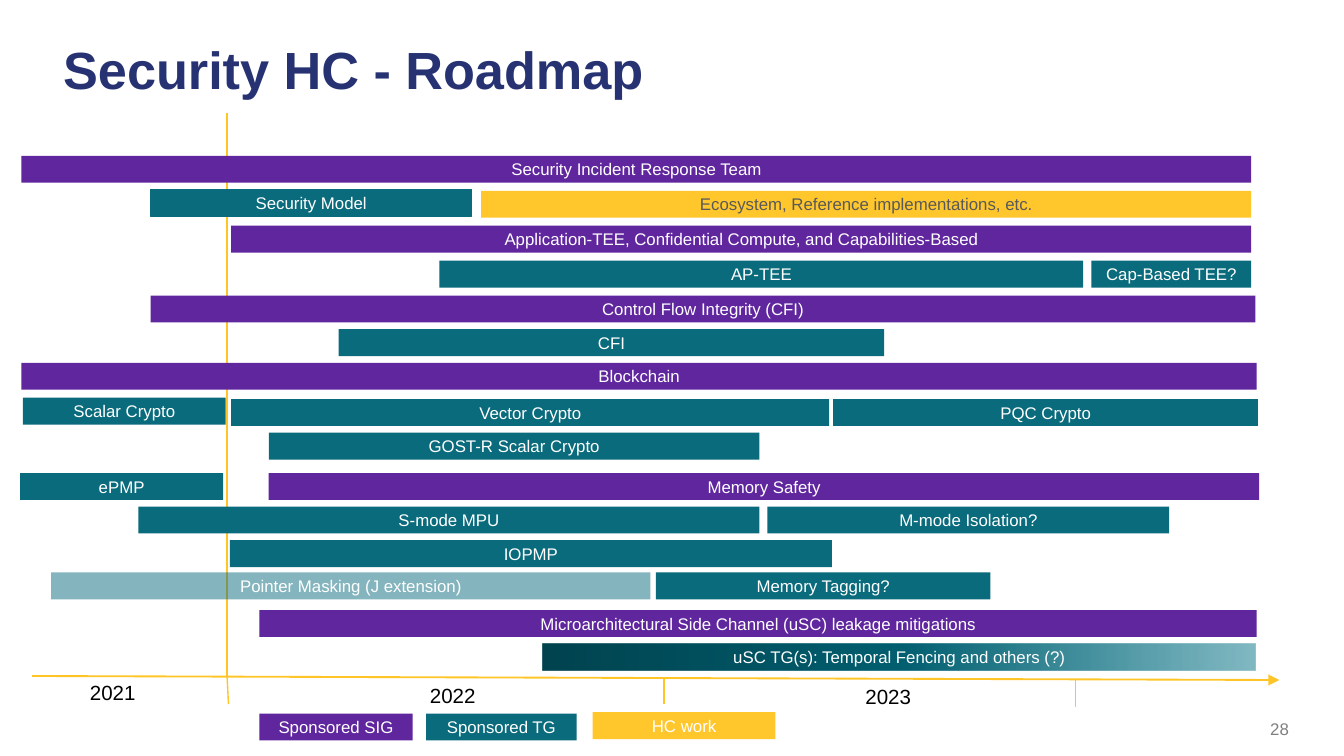
"""Build the Security HC roadmap slide as a timeline of coloured bars."""
from lxml.etree import SubElement
from pptx import Presentation
from pptx.dml.color import RGBColor
from pptx.enum.shapes import MSO_CONNECTOR, MSO_SHAPE
from pptx.enum.text import MSO_ANCHOR, PP_ALIGN
from pptx.oxml.ns import qn
from pptx.util import Inches, Pt

PURPLE, TEAL, YELLOW = "60269E", "0A6B7C", "FFC72C"
WHITE, GREY, AXIS = "FFFFFF", "595959", "FFC526"
BAR_HEIGHT = 0.2


def rgb(value):
    return RGBColor.from_string(value)


def write(shape, text, size, color, align, anchor, bold=False):
    frame = shape.text_frame
    frame.text = text
    frame.vertical_anchor = anchor
    paragraph = frame.paragraphs[0]
    paragraph.alignment = align
    font = paragraph.runs[0].font
    font.color.rgb = rgb(color)
    for name, value in {"name": "Arial", "size": Pt(size), "bold": bold}.items():
        setattr(font, name, value)
    return frame


presentation = Presentation()
presentation.slide_width = Inches(10)
presentation.slide_height = Inches(10 * 9 / 16)
slide = presentation.slides.add_slide(presentation.slide_layouts[5])
shapes = slide.shapes

title = shapes.title
title.left, title.top, title.width, title.height = map(Inches, (0.4, 0.16, 8.77, 0.75))
title_frame = write(title, "Security HC - Roadmap", 28, "273272",
                    PP_ALIGN.LEFT, MSO_ANCHOR.MIDDLE, bold=True)
title_frame.paragraphs[0].line_spacing = 0.95

timeline = [
    (0.24, 5.03, 9.52, 5.06, 1, True),
    (1.69, 5.04, 1.69, 0.84, 1, False),
    (4.94, 5.04, 4.94, 5.24, 0.75, False),
    (1.69, 5.04, 1.7, 5.24, 0.75, False),
    (8, 5.06, 8, 5.26, 0.75, False),
]
for *ends, weight, has_arrow in timeline:
    connector = shapes.add_connector(MSO_CONNECTOR.STRAIGHT, *map(Inches, ends))
    connector.line.color.rgb = rgb(AXIS)
    connector.line.width = Pt(weight)
    properties = connector._element.spPr
    if has_arrow:
        SubElement(properties.find(qn("a:ln")), qn("a:tailEnd"), type="triangle")
    SubElement(properties, qn("a:effectLst"))

for year, left, top in (("2021", 0.57, 5.01), ("2022", 3.1, 5.03), ("2023", 6.34, 5.04)):
    year_label = shapes.add_textbox(Inches(left), Inches(top), Inches(0.55), Inches(0.29))
    write(year_label, year, 11, "000000", PP_ALIGN.LEFT, MSO_ANCHOR.TOP).word_wrap = False

bars = [
    ("Security Incident Response Team", 0.16, 1.16, 9.15, PURPLE),
    ("Security Model", 1.12, 1.41, 2.39, TEAL),
    ("Ecosystem, Reference implementations, etc.", 3.58, 1.42, 5.73, YELLOW),
    ("Application-TEE, Confidential Compute, and Capabilities-Based", 1.72, 1.68, 7.59, PURPLE),
    ("AP-TEE", 3.27, 1.94, 4.79, TEAL),
    ("Cap-Based TEE?", 8.12, 1.94, 1.19, TEAL),
    ("Control Flow Integrity (CFI)", 1.12, 2.2, 8.22, PURPLE),
    ("CFI", 2.52, 2.45, 4.06, TEAL),
    ("Blockchain", 0.16, 2.7, 9.19, PURPLE),
    ("Scalar Crypto", 0.17, 2.96, 1.51, TEAL),
    ("Vector Crypto", 1.72, 2.97, 4.45, TEAL),
    ("PQC Crypto", 6.2, 2.97, 3.16, TEAL),
    ("GOST-R Scalar Crypto", 2, 3.22, 3.65, TEAL),
    ("ePMP", 0.15, 3.52, 1.51, TEAL),
    ("Memory Safety", 2, 3.52, 7.37, PURPLE),
    ("S-mode MPU", 1.03, 3.77, 4.62, TEAL),
    ("M-mode Isolation?", 5.71, 3.77, 2.99, TEAL),
    ("IOPMP", 1.71, 4.02, 4.48, TEAL),
    ("Pointer Masking (J extension)", 0.38, 4.26, 4.46, TEAL),
    ("Memory Tagging?", 4.88, 4.26, 2.49, TEAL),
    ("Microarchitectural Side Channel (uSC) leakage mitigations", 1.93, 4.54, 7.42, PURPLE),
    ("uSC TG(s): Temporal Fencing and others (?)", 4.04, 4.79, 5.3, TEAL),
    ("Sponsored SIG", 1.93, 5.31, 1.14, PURPLE),
    ("Sponsored TG", 3.17, 5.31, 1.12, TEAL),
    ("HC work", 4.41, 5.3, 1.36, YELLOW),
]
bar_by_label = {}
for label, left, top, width, color in bars:
    bar = shapes.add_shape(MSO_SHAPE.RECTANGLE, Inches(left), Inches(top),
                           Inches(width), Inches(BAR_HEIGHT))
    bar.shadow.inherit = False
    bar.fill.solid()
    bar.fill.fore_color.rgb = rgb(color)
    bar.line.fill.background()
    text_color = GREY if label.startswith("Ecosystem") else WHITE
    write(bar, label, 9, text_color, PP_ALIGN.CENTER, MSO_ANCHOR.MIDDLE)
    bar_by_label[label] = bar

security_model = bar_by_label["Security Model"]
security_model.line.color.rgb = rgb(TEAL)
security_model.line.width = Pt(0.5)

pointer_masking = bar_by_label["Pointer Masking (J extension)"]
pointer_color = pointer_masking._element.spPr.find(f".//{qn('a:srgbClr')}")
SubElement(pointer_color, qn("a:alpha"), val="50000")

temporal_fencing = bar_by_label["uSC TG(s): Temporal Fencing and others (?)"]
temporal_fencing.fill.gradient()
temporal_fencing.fill.gradient_angle = 0
stops = temporal_fencing._element.spPr.find(f".//{qn('a:gsLst')}")
for default_stop in list(stops):
    stops.remove(default_stop)
for position, color, opacity in ((0, "01434F", 100), (50, "015F70", 100), (99, "017185", 50)):
    stop = SubElement(stops, qn("a:gs"), pos=str(position * 1000))
    stop_color = SubElement(stop, qn("a:srgbClr"), val=color)
    SubElement(stop_color, qn("a:alpha"), val=str(opacity * 1000))

page_number = shapes.add_textbox(Inches(7.33), Inches(5.29), Inches(2.33), Inches(0.25))
page_frame = write(page_number, "28", 9, "7F7F7F", PP_ALIGN.RIGHT, MSO_ANCHOR.BOTTOM)
page_frame.word_wrap = True

for frame in (title_frame, page_frame):
    for side, margin in {"left": 0.07, "top": 0.04, "right": 0.07, "bottom": 0.04}.items():
        setattr(frame, f"margin_{side}", Inches(margin))

presentation.save("out.pptx")
